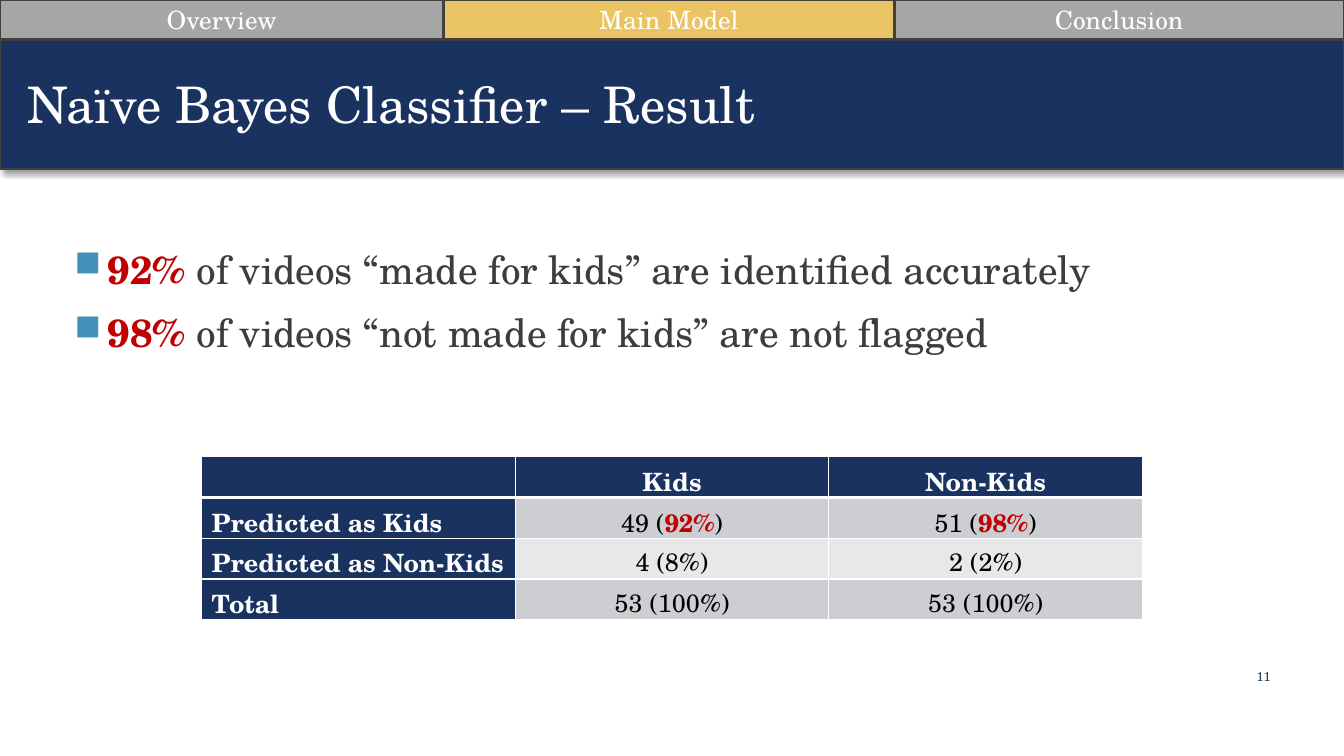
from dataclasses import dataclass

import lxml.etree
import pptx
import pptx.dml.color
import pptx.enum.shapes
import pptx.enum.text
import pptx.oxml
import pptx.oxml.ns
import pptx.util

RGB = pptx.dml.color.RGBColor
Align = pptx.enum.text.PP_ALIGN
Anchor = pptx.enum.text.MSO_ANCHOR

NAVY = RGB(0x1A, 0x32, 0x60)
GOLD = RGB(0xEA, 0xC4, 0x63)
TAB_GREY = RGB(0xA6, 0xA6, 0xA6)
OUTLINE = RGB(0x40, 0x40, 0x40)
BODY_GREY = RGB(0x3D, 0x3D, 0x3D)
RED = RGB(0xC0, 0x00, 0x00)
WHITE = RGB(0xFF, 0xFF, 0xFF)
BLACK = RGB(0x00, 0x00, 0x00)
BANDS = (RGB(0xCD, 0xCE, 0xD2), RGB(0xE8, 0xE8, 0xEA))
BULLET_BLUE = "4590B8"
FONT = "TeX Gyre Schola"
EMU_PER_PX = 9144  # 100 px to the inch


@dataclass(frozen=True)
class Box:
    left: int
    top: int
    width: int
    height: int

    def emu(self) -> tuple[int, ...]:
        return tuple(px(n) for n in (self.left, self.top, self.width, self.height))


@dataclass(frozen=True)
class Part:
    text: str
    color: RGB
    bold: bool = False


@dataclass(frozen=True)
class Tab:
    label: str
    left: int
    width: int
    fill: RGB


TABS = (
    Tab("Overview", 0, 440, TAB_GREY),
    Tab("Main Model", 440, 447, GOLD),
    Tab("Conclusion", 887, 446, TAB_GREY),
)
FINDINGS = (
    ("92% ", "of videos “made for kids” are identified accurately"),
    ("98% ", "of videos “not made for kids” are not flagged"),
)
RESULTS = (
    ("", "Kids", "Non-Kids"),
    ("Predicted as Kids", "49 (92%)", "51 (98%)"),
    ("Predicted as Non-Kids", "4 (8%)", "2 (2%)"),
    ("Total", "53 (100%)", "53 (100%)"),
)
HIGHLIGHTS = ("92%", "98%")


def px(length: int) -> int:
    return length * EMU_PER_PX


def add_xml(parent, xml: str) -> None:
    """Append a DrawingML element, written with the a: prefix."""
    tag_end = min(i for i in (xml.find(" "), xml.find("/"), xml.find(">")) if i > 0)
    namespace = " " + pptx.oxml.ns.nsdecls("a")
    parent.append(lxml.etree.fromstring(xml[:tag_end] + namespace + xml[tag_end:]))


def write(paragraph, parts: list[Part], size: float, align=Align.LEFT) -> None:
    paragraph.alignment = align
    for part in parts:
        run = paragraph.add_run()
        run.text = part.text
        run.font.name = FONT
        run.font.size = pptx.util.Pt(size)
        run.font.bold = part.bold
        run.font.color.rgb = part.color


def add_bar(slide, box: Box, fill: RGB, line_width: float):
    bar = slide.shapes.add_shape(pptx.enum.shapes.MSO_SHAPE.RECTANGLE, *box.emu())
    bar.shadow.inherit = False
    bar.fill.solid()
    bar.fill.fore_color.rgb = fill
    bar.line.color.rgb = OUTLINE
    bar.line.width = pptx.util.Pt(line_width)
    return bar


def add_text_frame(slide, box: Box, anchor=Anchor.TOP):
    frame = slide.shapes.add_textbox(*box.emu()).text_frame
    frame.word_wrap = True
    frame.vertical_anchor = anchor
    return frame


def add_banner(slide) -> None:
    banner = add_bar(slide, Box(0, 38, 1333, 130), NAVY, 1.5)
    effects = banner._element.spPr.find(pptx.oxml.ns.qn("a:effectLst"))
    add_xml(effects, '<a:outerShdw blurRad="50800" dist="38100" dir="2700000" algn="tl" '
                     'rotWithShape="0"><a:srgbClr val="000000"><a:alpha val="40000"/>'
                     '</a:srgbClr></a:outerShdw>')
    title = add_text_frame(slide, Box(17, 68, 1173, 71))
    write(title.paragraphs[0], [Part("Naïve Bayes Classifier – Result", WHITE)], 36)


def add_tabs(slide) -> None:
    for tab in TABS:
        frame = add_bar(slide, Box(tab.left, 0, tab.width, 39), tab.fill, 1.75).text_frame
        frame.vertical_anchor = Anchor.MIDDLE
        write(frame.paragraphs[0], [Part(tab.label, WHITE)], 18, Align.CENTER)


def add_findings(slide) -> None:
    frame = add_text_frame(slide, Box(64, 238, 1206, 402))
    for index, (share, statement) in enumerate(FINDINGS):
        paragraph = frame.add_paragraph() if index else frame.paragraphs[0]
        write(paragraph, [Part(share, RED, True), Part(statement, BODY_GREY)], 28)
        paragraph.space_before = pptx.util.Pt(5.6)
        paragraph.space_after = pptx.util.Pt(6)
        properties = paragraph._p.get_or_add_pPr()
        properties.set("marL", str(px(33)))
        properties.set("indent", str(px(-33)))
        add_xml(properties, f'<a:buClr><a:srgbClr val="{BULLET_BLUE}"/></a:buClr>')
        add_xml(properties, '<a:buSzPct val="92000"/>')
        add_xml(properties, '<a:buChar char="■"/>')


def value_parts(value: str) -> list[Part]:
    """Split a table value so that a highlighted share stands out."""
    for share in HIGHLIGHTS:
        if share in value:
            before, after = value.split(share)
            return [Part(before, BLACK), Part(share, RED, True), Part(after, BLACK)]
    return [Part(value, BLACK)]


def set_borders(cell, bottom: float, top: float) -> None:
    properties = cell._tc.get_or_add_tcPr()
    widths = (("lnL", 1), ("lnR", 1), ("lnT", top), ("lnB", bottom))
    for position, (side, points) in enumerate(widths):
        add_xml(properties, f'<a:{side} w="{pptx.util.Pt(points)}"><a:solidFill>'
                            f'<a:srgbClr val="{WHITE}"/></a:solidFill></a:{side}>')
        properties.insert(position, properties[-1])


def add_results(slide) -> None:
    box = Box(200, 453, 933, 162)
    table = slide.shapes.add_table(len(RESULTS), len(RESULTS[0]), *box.emu()).table
    for row, values in enumerate(RESULTS):
        for column, value in enumerate(values):
            cell = table.cell(row, column)
            heading = row == 0 or column == 0
            cell.fill.solid()
            cell.fill.fore_color.rgb = NAVY if heading else BANDS[(row - 1) % 2]
            set_borders(cell, bottom=3 if row == 0 else 1, top=3 if row == 1 else 1)
            parts = [Part(value, WHITE, True)] if heading else value_parts(value)
            write(cell.text_frame.paragraphs[0], parts, 18,
                  Align.CENTER if column else Align.LEFT)


def main() -> None:
    deck = pptx.Presentation()
    deck.slide_width, deck.slide_height = px(1333), px(750)
    slide = deck.slides.add_slide(deck.slide_layouts[6])
    add_banner(slide)
    add_tabs(slide)
    page = add_text_frame(slide, Box(1155, 651, 115, 40), Anchor.MIDDLE)
    write(page.paragraphs[0], [Part("11", NAVY)], 9, Align.RIGHT)
    add_findings(slide)
    add_results(slide)
    deck.save("out.pptx")


if __name__ == "__main__":
    main()
